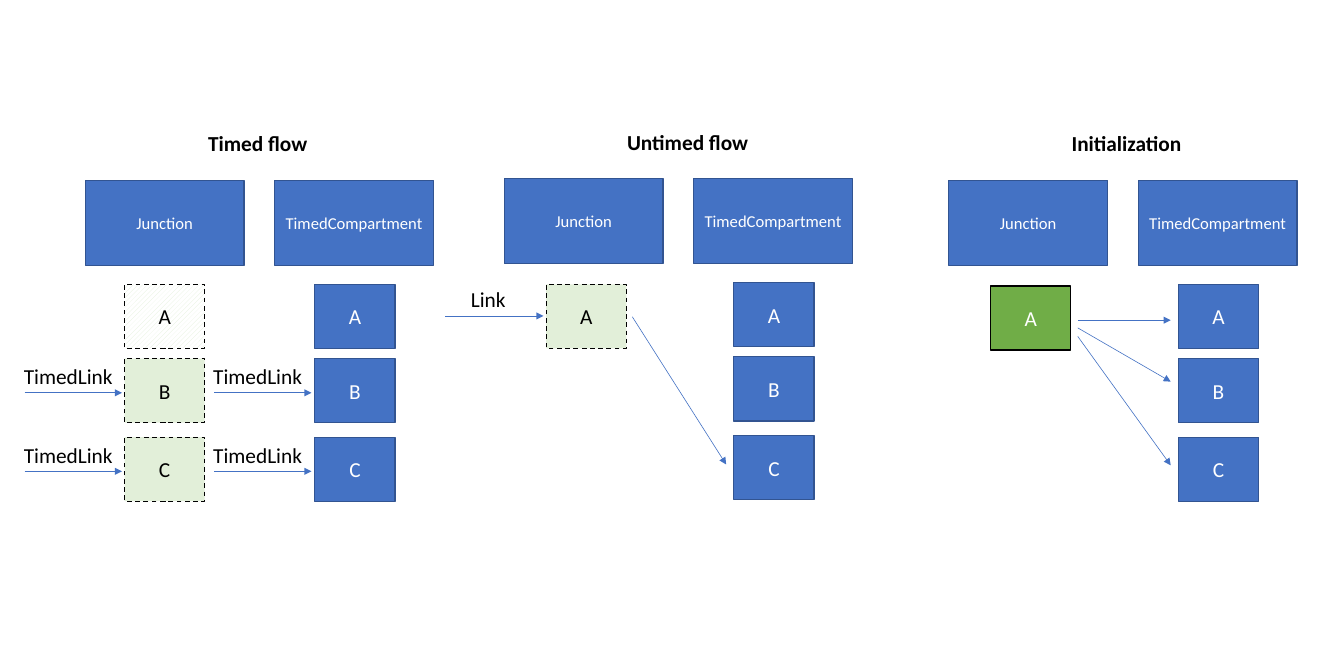
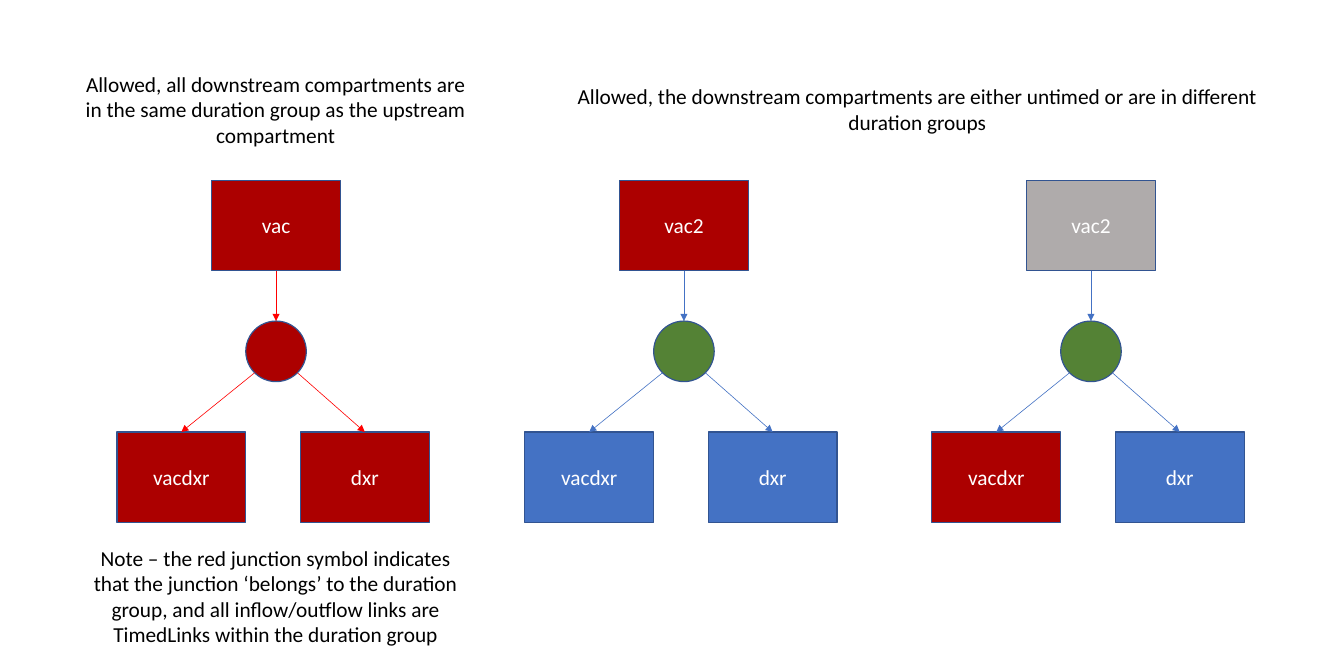
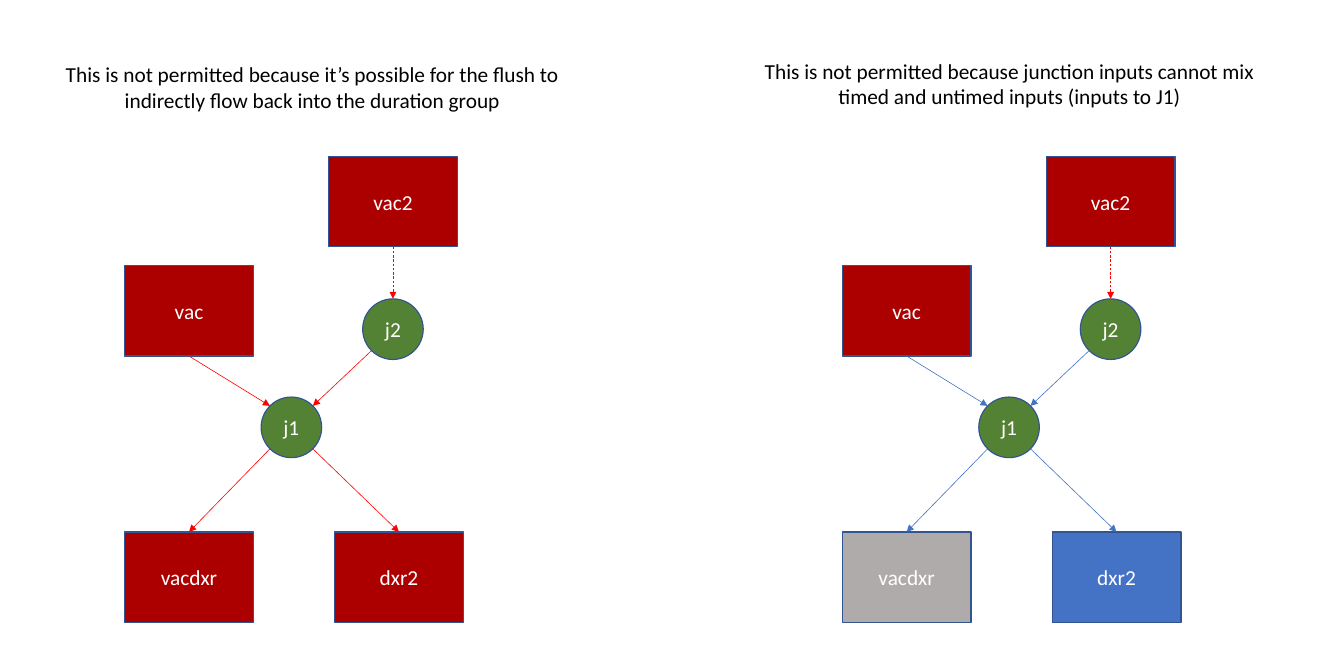
from lxml.etree import SubElement
from pptx import Presentation
from pptx.dml.color import RGBColor
from pptx.enum.dml import MSO_LINE, MSO_PATTERN
from pptx.enum.shapes import MSO_CONNECTOR, MSO_SHAPE
from pptx.enum.text import MSO_ANCHOR, MSO_AUTO_SIZE, PP_ALIGN
from pptx.oxml.ns import qn
from pptx.util import Inches, Pt

# Shared style
FONT = "Calibri"
BLACK, WHITE = "000000", "FFFFFF"
BLUE, OUTLINE = "4472C4", "325491"
DARK_RED, RED = "AC0000", "FF0000"
GREY, DARK_GREEN = "AFABAB", "548235"
GREEN, PALE_GREEN = "70AD47", "E2EFD9"

# Sizes in inches
HEADER = (1.86, 1)
CELL = (0.94, 0.75)
NODE = (1.51, 1.06)
CIRCLE = (0.71, 0.71)
COLUMN_STEP = 2.22
ROWS = {"A": 1.22, "B": 2.09, "C": 3.01}

# Connection sites: index and position as fractions of the shape
RECTANGLE_SITES = {"top": (0, 0.5, 0), "bottom": (2, 0.5, 1)}
CIRCLE_SITES = {
    "top": (0, 0.5, 0),
    "top left": (1, 0.146, 0.146),
    "bottom left": (3, 0.146, 0.854),
    "bottom right": (5, 0.854, 0.854),
    "top right": (7, 0.854, 0.146),
}


def color(value):
    return RGBColor.from_string(value)


def write(frame, text, size=18, ink=BLACK, bold=False, align=PP_ALIGN.LEFT, wrap=True):
    frame.word_wrap = wrap
    paragraph = frame.paragraphs[0]
    paragraph.alignment = align
    run = paragraph.add_run()
    run.text = text
    run.font.name = FONT
    run.font.size = Pt(size)
    run.font.bold = bold
    run.font.color.rgb = color(ink)


def add_text(slide, text, left, top, width, height=0.44, **style):
    box = slide.shapes.add_textbox(Inches(left), Inches(top), Inches(width), Inches(height))
    write(box.text_frame, text, **style)
    box.text_frame.auto_size = MSO_AUTO_SIZE.SHAPE_TO_FIT_TEXT


def add_block(slide, text, left, top, size, fill, kind=MSO_SHAPE.RECTANGLE,
              outline=OUTLINE, dashed=False, hatched=False, ink=WHITE, points=18):
    width, height = size
    shape = slide.shapes.add_shape(kind, Inches(left), Inches(top), Inches(width), Inches(height))
    shape.shadow.inherit = False
    if hatched:
        shape.fill.patterned()
        shape.fill.pattern = MSO_PATTERN.WIDE_UPWARD_DIAGONAL
        shape.fill.fore_color.rgb = color(fill)
        shape.fill.back_color.rgb = color(WHITE)
    else:
        shape.fill.solid()
        shape.fill.fore_color.rgb = color(fill)
    shape.line.color.rgb = color(outline)
    shape.line.width = Pt(1)
    if dashed:
        shape.line.dash_style = MSO_LINE.DASH
    shape.text_frame.vertical_anchor = MSO_ANCHOR.MIDDLE
    if text:
        write(shape.text_frame, text, size=points, ink=ink, align=PP_ALIGN.CENTER)
    return shape


def add_circle(slide, text, left, top, fill):
    return add_block(slide, text, left, top, CIRCLE, fill, kind=MSO_SHAPE.OVAL)


def add_arrow(slide, start, end, ink=BLUE, dashed=False):
    """Draws an arrow between two points given in EMU."""
    connector = slide.shapes.add_connector(MSO_CONNECTOR.STRAIGHT, *start, *end)
    connector.line.color.rgb = color(ink)
    connector.line.width = Pt(0.5)
    if dashed:
        connector.line.dash_style = MSO_LINE.DASH
    SubElement(connector.line._get_or_add_ln(), qn("a:tailEnd"), type="triangle")
    SubElement(connector._element.spPr, qn("a:effectLst"))
    return connector


def join(slide, source, source_site, target, target_site, **style):
    """Draws an arrow glued to named sites of two shapes."""
    points, glue = [], []
    for shape, name in ((source, source_site), (target, target_site)):
        round_shape = shape.auto_shape_type == MSO_SHAPE.OVAL
        index, across, down = (CIRCLE_SITES if round_shape else RECTANGLE_SITES)[name]
        points.append((round(shape.left + across * shape.width),
                       round(shape.top + down * shape.height)))
        glue.append((shape.shape_id, index))
    connector = add_arrow(slide, *points, **style)
    properties = connector._element.find(".//" + qn("p:cNvCxnSpPr"))
    for tag, (shape_id, index) in zip(("a:stCxn", "a:endCxn"), glue):
        SubElement(properties, qn(tag), id=str(shape_id), idx=str(index))


# Slide 1: flow panels
def add_panel(slide, left, top, title, title_width):
    add_text(slide, title, left + 1.34, top - 0.63, title_width, bold=True, wrap=False)
    for column, name in enumerate(("Junction", "TimedCompartment")):
        add_block(slide, name, left + column * COLUMN_STEP, top, HEADER, BLUE, points=14)
    for name, offset in ROWS.items():
        add_block(slide, name, left + 2.69, top + offset, CELL, BLUE)


def add_panel_arrow(slide, left, top, x1, y1, x2, y2):
    add_arrow(slide, (Inches(left + x1), Inches(top + y1)),
              (Inches(left + x2), Inches(top + y2)))


def add_timed_flow(slide, left, top):
    add_panel(slide, left, top, "Timed flow", 1.54)
    for name, offset in ROWS.items():
        add_block(slide, name, left + 0.46, top + offset, CELL, PALE_GREEN,
                  outline=BLACK, dashed=True, hatched=name == "A", ink=BLACK)
        if name == "A":
            continue
        for column in range(2):
            shift = column * COLUMN_STEP
            add_text(slide, "TimedLink", left + shift - 0.82, top + offset + 0.01, 1.39, wrap=False)
            add_panel_arrow(slide, left + shift, top + offset, -0.71, 0.4, 0.43, 0.4)


def add_untimed_flow(slide, left, top):
    add_panel(slide, left, top, "Untimed flow", 1.84)
    add_text(slide, "Link", left - 0.49, top + 1.21, 0.67, wrap=False)
    add_block(slide, "A", left + 0.49, top + 1.24, CELL, PALE_GREEN,
              outline=BLACK, dashed=True, ink=BLACK)
    add_panel_arrow(slide, left, top, -0.69, 1.61, 0.46, 1.61)
    add_panel_arrow(slide, left, top, 1.5, 1.62, 2.6, 3.35)


def add_initialization(slide, left, top):
    add_panel(slide, left, top, "Initialization", 1.68)
    add_block(slide, "A", left + 0.49, top + 1.24, CELL, GREEN, outline=BLACK)
    for start, end in ((1.64, 1.64), (1.73, 2.36), (1.83, 3.34)):
        add_panel_arrow(slide, left, top, 1.51, start, 2.6, end)


# Slide 2: one source, one junction, two targets
def add_split(slide, left, top, source, fills, link):
    source_fill, junction_fill, left_fill, right_fill = fills
    parent = add_block(slide, source, left + 1.11, top, NODE, source_fill)
    junction = add_circle(slide, "", left + 1.51, top + 1.65, junction_fill)
    vacdxr = add_block(slide, "vacdxr", left, top + 2.95, NODE, left_fill)
    dxr = add_block(slide, "dxr", left + 2.15, top + 2.95, NODE, right_fill)
    join(slide, parent, "bottom", junction, "top", ink=link)
    join(slide, junction, "bottom left", vacdxr, "top", ink=link)
    join(slide, junction, "bottom right", dxr, "top", ink=link)


# Slide 3: two sources, two junctions, two targets
def add_merge(slide, left, top, vacdxr_fill, dxr2_fill, link):
    vac2 = add_block(slide, "vac2", left + 2.39, top, NODE, DARK_RED)
    vac = add_block(slide, "vac", left, top + 1.28, NODE, DARK_RED)
    j2 = add_circle(slide, "j2", left + 2.79, top + 1.67, DARK_GREEN)
    j1 = add_circle(slide, "j1", left + 1.6, top + 2.82, DARK_GREEN)
    vacdxr = add_block(slide, "vacdxr", left, top + 4.4, NODE, vacdxr_fill)
    dxr2 = add_block(slide, "dxr2", left + 2.46, top + 4.4, NODE, dxr2_fill)
    join(slide, vac2, "bottom", j2, "top", ink=RED, dashed=True)
    join(slide, j2, "bottom left", j1, "top right", ink=link)
    join(slide, vac, "bottom", j1, "top left", ink=link)
    join(slide, j1, "bottom left", vacdxr, "top", ink=link)
    join(slide, j1, "bottom right", dxr2, "top", ink=link)


def add_caption(slide, text, left, top, width, height):
    add_text(slide, text, left, top, width, height, align=PP_ALIGN.CENTER)


def build_flow_slide(slide):
    add_timed_flow(slide, 1, 2.11)
    add_untimed_flow(slide, 5.91, 2.09)
    add_initialization(slide, 11.12, 2.11)


def build_allowed_slide(slide):
    add_caption(slide, "Allowed, all downstream compartments are in the same duration group "
                "as the upstream compartment", 0.85, 0.78, 4.76, 1.01)
    add_caption(slide, "Allowed, the downstream compartments are either untimed or are in "
                "different duration groups", 6.43, 0.93, 8.64, 0.71)
    add_split(slide, 1.37, 2.11, "vac", [DARK_RED] * 4, RED)
    add_split(slide, 6.15, 2.11, "vac2", [DARK_RED, DARK_GREEN, BLUE, BLUE], BLUE)
    add_split(slide, 10.92, 2.11, "vac2", [GREY, DARK_GREEN, DARK_RED, BLUE], BLUE)
    add_caption(slide, "Note – the red junction symbol indicates that the junction ‘belongs’ "
                "to the duration group, and all inflow/outflow links are TimedLinks within "
                "the duration group", 0.85, 6.33, 4.76, 1.31)


def build_forbidden_slide(slide):
    add_caption(slide, "This is not permitted because it’s possible for the flush to indirectly "
                "flow back into the duration group", 0.56, 0.67, 6.2, 0.71)
    add_caption(slide, "This is not permitted because junction inputs cannot mix timed and "
                "untimed inputs (inputs to J1)", 8.73, 0.63, 6.2, 0.71)
    add_merge(slide, 1.46, 1.83, DARK_RED, DARK_RED, RED)
    add_merge(slide, 9.87, 1.83, GREY, BLUE, BLUE)


presentation = Presentation()
presentation.slide_width = Inches(15.75)
presentation.slide_height = Inches(7.87)
for build in (build_flow_slide, build_allowed_slide, build_forbidden_slide):
    build(presentation.slides.add_slide(presentation.slide_layouts[6]))
presentation.save("out.pptx")
